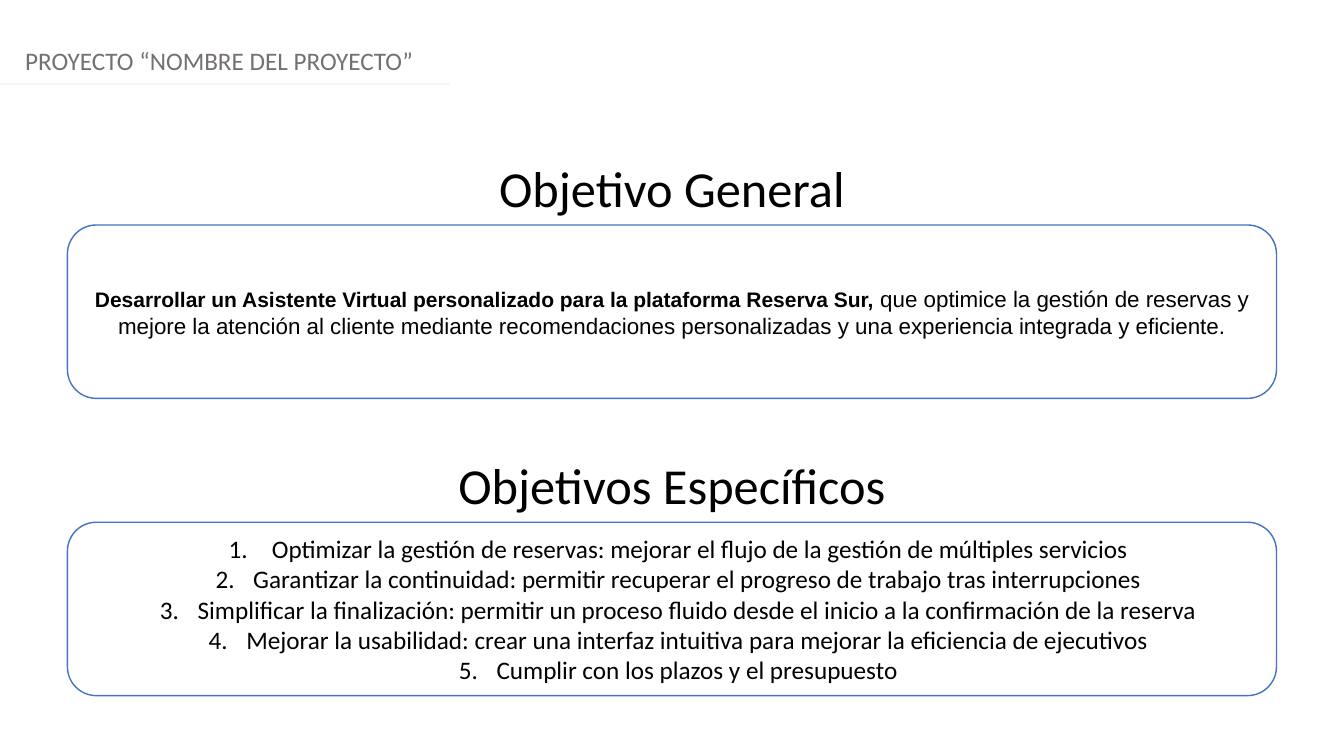
from dataclasses import dataclass

from lxml.etree import SubElement
from pptx import Presentation
from pptx.dml.color import RGBColor
from pptx.enum.shapes import MSO_CONNECTOR, MSO_SHAPE
from pptx.enum.text import MSO_ANCHOR, PP_ALIGN
from pptx.oxml.ns import qn
from pptx.util import Cm, Pt


@dataclass(frozen=True)
class Theme:
    text: str = "000000"
    header: str = "757070"
    rule: str = "F5F7FC"
    card_fill: str = "FFFFFF"
    card_line: str = "4472C4"
    font: str = "Calibri"
    goal_font: str = "Arial"
    heading_size: int = 36
    body_size: int = 18
    goal_size: int = 16
    goal_lead_size: int = 15


THEME = Theme()
SLIDE_WIDTH = Cm(33.87)
SLIDE_HEIGHT = Cm(19.05)
CARD_LEFT = Cm(1.7)
CARD_WIDTH = SLIDE_WIDTH - 2 * CARD_LEFT
CARD_HEIGHT = Cm(4.37)
HEADING_HEIGHT = Cm(1.8)
CARD_OFFSET = Cm(1.83)
FIRST_SECTION_TOP = Cm(3.84)
SECTION_STEP = Cm(7.49)

GOAL = [
    ("Desarrollar un Asistente Virtual personalizado para la plataforma Reserva Sur, ",
     THEME.goal_lead_size, True),
    ("que optimice la gestión de reservas y mejore la atención al cliente mediante "
     "recomendaciones personalizadas y una experiencia integrada y eficiente.",
     THEME.goal_size, False),
]
SPECIFIC_GOALS = [
    " Optimizar la gestión de reservas: mejorar el flujo de la gestión de múltiples servicios",
    "Garantizar la continuidad: permitir recuperar el progreso de trabajo tras interrupciones",
    "Simplificar la finalización: permitir un proceso fluido desde el inicio a la "
    "confirmación de la reserva",
    "Mejorar la usabilidad: crear una interfaz intuitiva para mejorar la eficiencia de ejecutivos",
    "Cumplir con los plazos y el presupuesto",
]


def add_run(paragraph, text, size, color=THEME.text, font=THEME.font, bold=False):
    run = paragraph.add_run()
    run.text = text
    run.font.name = font
    run.font.size = Pt(size)
    run.font.bold = bold
    run.font.color.rgb = RGBColor.from_string(color)


def number_paragraph(paragraph):
    """Give the paragraph an automatic number with a hanging indent."""
    properties = paragraph._p.get_or_add_pPr()
    properties.set("marL", str(Cm(1.27)))
    properties.set("indent", str(Cm(-0.95)))
    SubElement(properties, qn("a:buFont"), typeface="+mj-lt")
    SubElement(properties, qn("a:buAutoNum"), type="arabicPeriod")


def set_header(slide, text):
    title = slide.shapes.title
    title.left, title.top = Cm(0.38), Cm(1.02)
    title.width, title.height = SLIDE_WIDTH - 2 * title.left, Cm(1.02)
    title.text_frame.vertical_anchor = MSO_ANCHOR.TOP
    paragraph = title.text_frame.paragraphs[0]
    paragraph.alignment = PP_ALIGN.LEFT
    add_run(paragraph, text, THEME.body_size, THEME.header)


def add_header_rule(slide):
    rule = slide.shapes.add_connector(
        MSO_CONNECTOR.STRAIGHT, Cm(0), Cm(2.11), Cm(11.35), Cm(2.11))
    rule.line.color.rgb = RGBColor.from_string(THEME.rule)
    rule.line.width = Pt(1.25)
    SubElement(rule._element.spPr, qn("a:effectLst"))


def add_heading(slide, text, top):
    box = slide.shapes.add_textbox(Cm(0), top, SLIDE_WIDTH, HEADING_HEIGHT)
    box.text_frame.word_wrap = True
    paragraph = box.text_frame.paragraphs[0]
    paragraph.alignment = PP_ALIGN.CENTER
    add_run(paragraph, text, THEME.heading_size)


def add_card(slide, top):
    """Draw a rounded card and return its text frame."""
    card = slide.shapes.add_shape(
        MSO_SHAPE.ROUNDED_RECTANGLE, CARD_LEFT, top, CARD_WIDTH, CARD_HEIGHT)
    card.shadow.inherit = False
    card.fill.solid()
    card.fill.fore_color.rgb = RGBColor.from_string(THEME.card_fill)
    card.line.color.rgb = RGBColor.from_string(THEME.card_line)
    card.line.width = Pt(1)
    frame = card.text_frame
    frame.word_wrap = True
    frame.vertical_anchor = MSO_ANCHOR.MIDDLE
    return frame


def add_section(slide, index, heading):
    """Place a heading above its card and return the card's text frame."""
    top = FIRST_SECTION_TOP + index * SECTION_STEP
    add_heading(slide, heading, top)
    return add_card(slide, top + CARD_OFFSET)


def write_goal(frame):
    paragraph = frame.paragraphs[0]
    paragraph.alignment = PP_ALIGN.CENTER
    for text, size, bold in GOAL:
        add_run(paragraph, text, size, font=THEME.goal_font, bold=bold)


def write_specific_goals(frame):
    for index, text in enumerate(SPECIFIC_GOALS):
        paragraph = frame.add_paragraph() if index else frame.paragraphs[0]
        paragraph.alignment = PP_ALIGN.CENTER
        number_paragraph(paragraph)
        add_run(paragraph, text, THEME.body_size)


def main():
    presentation = Presentation()
    presentation.slide_width = SLIDE_WIDTH
    presentation.slide_height = SLIDE_HEIGHT
    slide = presentation.slides.add_slide(
        presentation.slide_layouts.get_by_name("Title Only"))
    set_header(slide, "PROYECTO “NOMBRE DEL PROYECTO”")
    add_header_rule(slide)
    write_goal(add_section(slide, 0, "Objetivo General"))
    write_specific_goals(add_section(slide, 1, "Objetivos Específicos"))
    presentation.save("out.pptx")


if __name__ == "__main__":
    main()
